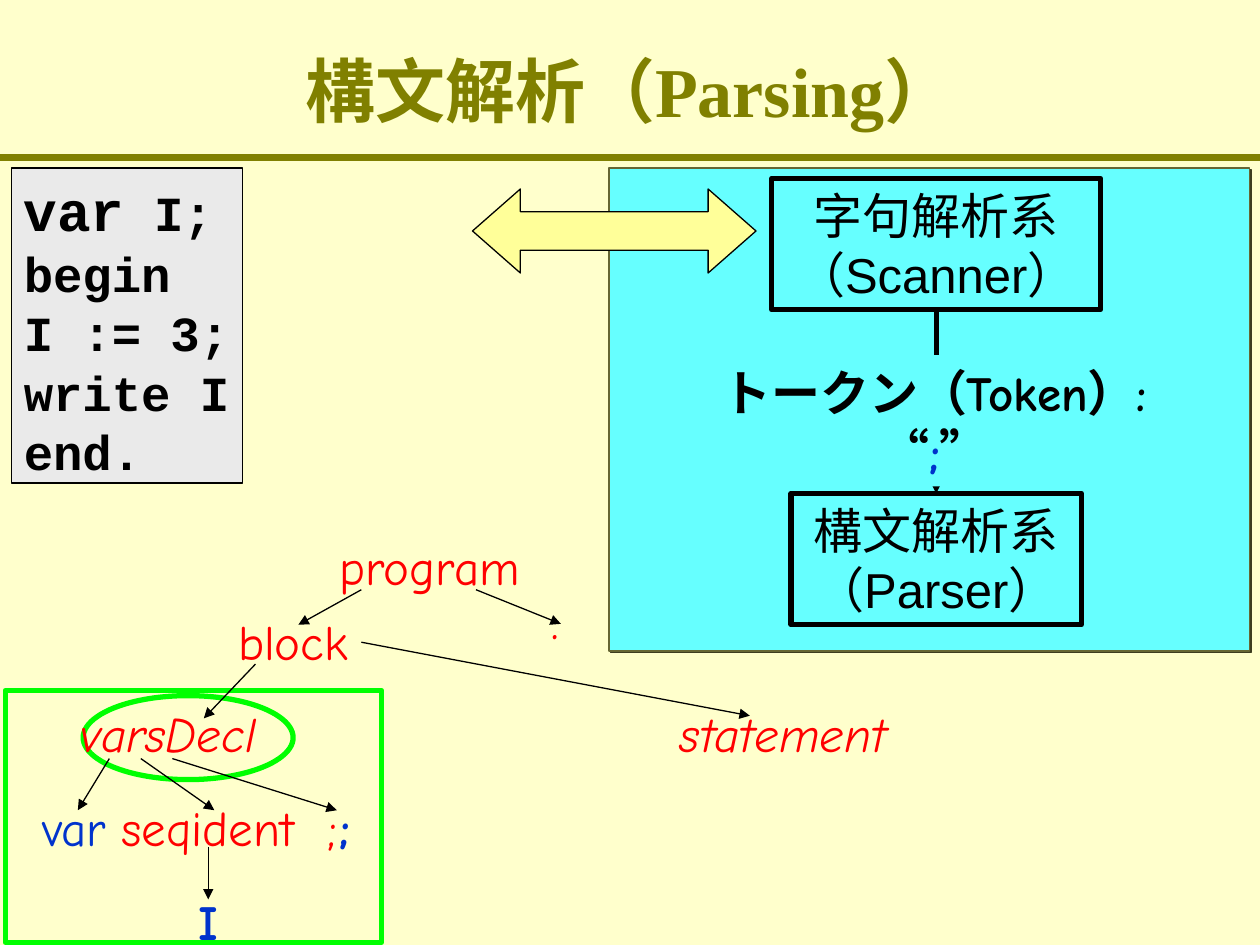
"""Build the parsing slide: source code, scanner and parser, and the syntax tree."""
import pptx
import pptx.dml.color
import pptx.enum.shapes
import pptx.enum.text
import pptx.oxml
import pptx.oxml.ns
import pptx.util

Pt = pptx.util.Pt
RGBColor = pptx.dml.color.RGBColor
SHAPE = pptx.enum.shapes.MSO_SHAPE
ALIGN = pptx.enum.text.PP_ALIGN
ANCHOR = pptx.enum.text.MSO_ANCHOR

CREAM = RGBColor(0xFF, 0xFF, 0xCC)
OLIVE = RGBColor(0x80, 0x80, 0x00)
CYAN = RGBColor(0x66, 0xFF, 0xFF)
DARK_OLIVE = RGBColor(0x66, 0x66, 0x33)
YELLOW = RGBColor(0xFF, 0xFF, 0x99)
GREEN = RGBColor(0x00, 0xFF, 0x00)
GRAY = RGBColor(0xEA, 0xEA, 0xEA)
BLACK = RGBColor(0x00, 0x00, 0x00)
RED = RGBColor(0xFF, 0x00, 0x00)
BLUE = RGBColor(0x00, 0x33, 0xCC)

presentation = pptx.Presentation()
presentation.slide_width = Pt(720)
presentation.slide_height = Pt(540)
slide = presentation.slides.add_slide(presentation.slide_layouts[5])
slide.background.fill.solid()
slide.background.fill.fore_color.rgb = CREAM


def write(frame, lines, font="Comic Neue", size=28, color=BLACK, bold=False,
          italic=False, align=ALIGN.LEFT, wrap=False, anchor=ANCHOR.TOP, leading=1.21):
    """Fill a text frame; a line is a string or a list of (text, size, color) runs."""
    frame.word_wrap = wrap
    frame.vertical_anchor = anchor
    for index, line in enumerate(lines):
        paragraph = frame.add_paragraph() if index else frame.paragraphs[0]
        paragraph.alignment = align
        runs = [(line, size, color)] if isinstance(line, str) else line
        if leading:
            paragraph.line_spacing = Pt(round(leading * max(run[1] for run in runs)))
        for text, run_size, run_color in runs:
            run = paragraph.add_run()
            run.text = text
            run.font.name = font
            run.font.size = Pt(run_size)
            run.font.color.rgb = run_color
            run.font.bold = bold
            run.font.italic = italic


def draw_line(x1, y1, x2, y2, color=BLACK, width=0.75, arrow=True):
    """Draw a straight line, with an arrowhead at its end if wanted."""
    line = slide.shapes.add_connector(
        pptx.enum.shapes.MSO_CONNECTOR.STRAIGHT, Pt(x1), Pt(y1), Pt(x2), Pt(y2))
    line.line.color.rgb = color
    line.line.width = Pt(width)
    properties = line._element.spPr
    if arrow:
        pptx.oxml.ns.qn("a:ln")
        outline = properties.find(pptx.oxml.ns.qn("a:ln"))
        outline.append(pptx.oxml.parse_xml(
            f'<a:tailEnd {pptx.oxml.ns.nsdecls("a")} type="triangle"/>'))
    properties.append(pptx.oxml.parse_xml(f'<a:effectLst {pptx.oxml.ns.nsdecls("a")}/>'))
    return line


title = slide.shapes.title
title.left, title.top, title.width, title.height = Pt(0), Pt(6), Pt(720), Pt(90)
write(title.text_frame, ["構文解析（Parsing）"], font="Times New Roman", size=40, color=OLIVE,
      bold=True, align=ALIGN.CENTER, wrap=True, anchor=ANCHOR.MIDDLE, leading=None)
draw_line(0, 90, 720, 90, color=OLIVE, width=4.5, arrow=False)

blocks = {}
for name, kind, left, top, width, height, fill, outline, weight in [
    ("compiler", SHAPE.RECTANGLE, 348, 96, 366, 276, CYAN, DARK_OLIVE, 0.75),
    ("parser", SHAPE.RECTANGLE, 452, 282, 166, 75, None, BLACK, 3),
    ("scanner", SHAPE.RECTANGLE, 441, 102, 188, 75, None, BLACK, 3),
    ("token", SHAPE.RECTANGLE, 378, 203, 312, 75, CYAN, None, 0),
    ("exchange", SHAPE.LEFT_RIGHT_ARROW, 270, 108, 162, 48, YELLOW, BLACK, 0.75),
    ("subtree", SHAPE.RECTANGLE, 3, 394.5, 215, 144, None, GREEN, 3),
    ("current rule", SHAPE.OVAL, 47.5, 397.5, 120, 48, None, GREEN, 3),
    ("code", SHAPE.RECTANGLE, 6.5, 96, 132, 180, GRAY, BLACK, 0.75),
]:
    if name == "token":
        token_flow = draw_line(535, 177, 535, 282, width=3)
        token_flow.begin_connect(blocks["scanner"], 2)
        token_flow.end_connect(blocks["parser"], 0)
    block = slide.shapes.add_shape(kind, Pt(left), Pt(top), Pt(width), Pt(height))
    block.shadow.inherit = False
    if fill is None:
        block.fill.background()
    else:
        block.fill.solid()
        block.fill.fore_color.rgb = fill
    if outline is None:
        block.line.fill.background()
    else:
        block.line.color.rgb = outline
        block.line.width = Pt(weight)
    blocks[name] = block

blocks["exchange"].adjustments[0] = 0.46
blocks["exchange"].adjustments[1] = 0.57
effects = blocks["compiler"]._element.spPr.find(pptx.oxml.ns.qn("a:effectLst"))
effects.append(pptx.oxml.parse_xml(
    f'<a:outerShdw {pptx.oxml.ns.nsdecls("a")} dist="17780" dir="2700000">'
    '<a:srgbClr val="3D3D1F"/></a:outerShdw>'))

for name, lines in [("parser", ["構文解析系", "（Parser）"]),
                    ("scanner", ["字句解析系", "（Scanner）"])]:
    write(blocks[name].text_frame, lines, font="Arial", align=ALIGN.CENTER)
write(blocks["token"].text_frame,
      [[("トークン（Token）: “", 28, BLACK), (";", 28, BLUE), ("”", 28, BLACK)]],
      bold=True, align=ALIGN.CENTER, wrap=True)
write(blocks["code"].text_frame,
      [[("var", 32, BLACK), (" I;", 28, BLACK)], "begin", "I := 3;", "write I", "end."],
      font="Courier New", bold=True)

for symbol, left, top, width, style in [
    (".", 248.5, 333.5, 138, {"color": RED, "align": ALIGN.CENTER}),
    ("block", 98.5, 345.5, 138, {"color": RED, "align": ALIGN.CENTER}),
    ("program", 176.5, 302.5, 138, {"color": RED, "align": ALIGN.CENTER}),
    ("varsDecl", 39, 398, 138, {"color": RED, "italic": True}),
    ("statement", 381.5, 398, 138, {"color": RED, "italic": True}),
    ("var", 17, 452, 60, {"color": BLUE}),
    ("seqident", 62.5, 452, 138, {"color": RED}),
    (";", 180, 452, 30, {"color": RED}),
    (";", 187, 451.5, 30, {"color": BLUE, "bold": True}),
    ("I", 106.5, 505.5, 30, {"color": BLUE, "bold": True}),
]:
    node = slide.shapes.add_textbox(Pt(left), Pt(top), Pt(width), Pt(41))
    write(node.text_frame, [symbol], wrap=True, **style)

for branch in [
    (206.5, 337, 170.5, 357),
    (272, 337, 320.5, 356.5),
    (146, 379.5, 116.5, 410.5),
    (206.5, 367, 428.5, 409),
    (62.5, 433.5, 44.5, 463),
    (80.5, 433.5, 122.5, 463),
    (98.5, 433.5, 192.5, 463),
    (119, 484, 119, 514),
]:
    draw_line(*branch)

presentation.save("out.pptx")
